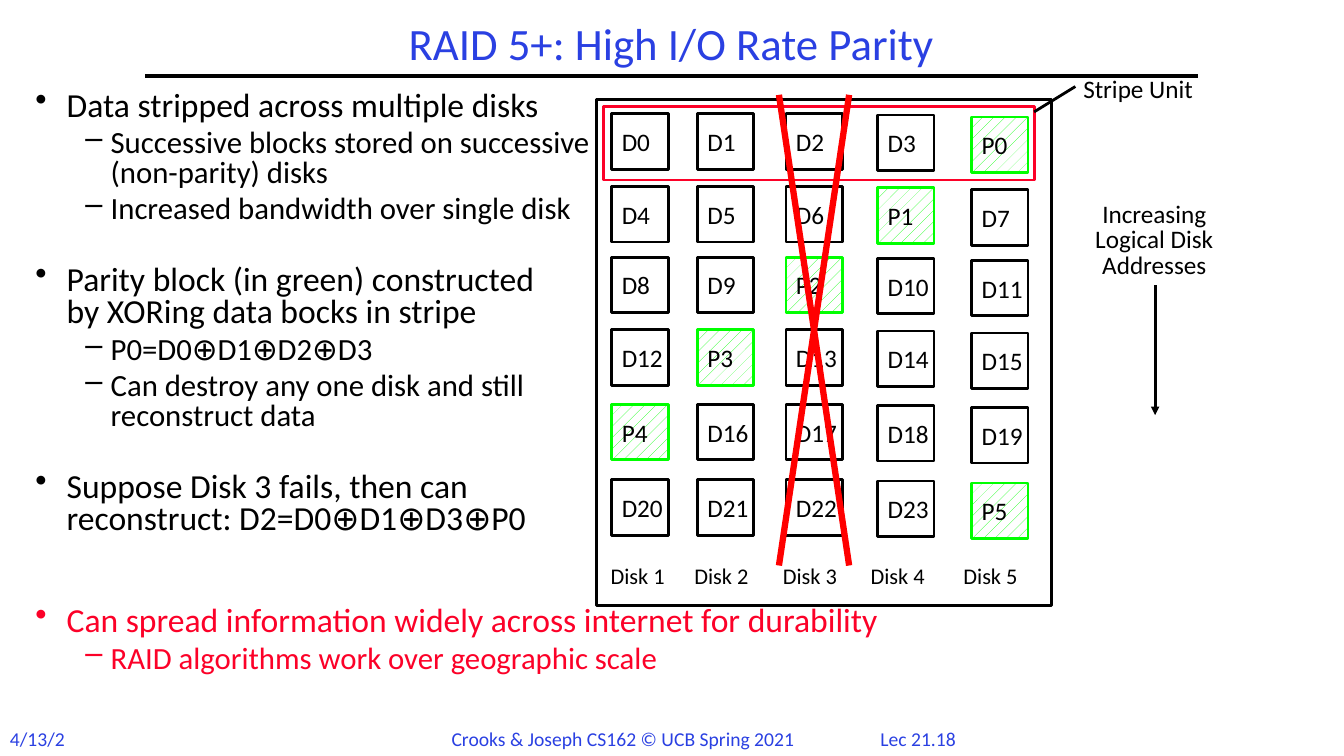
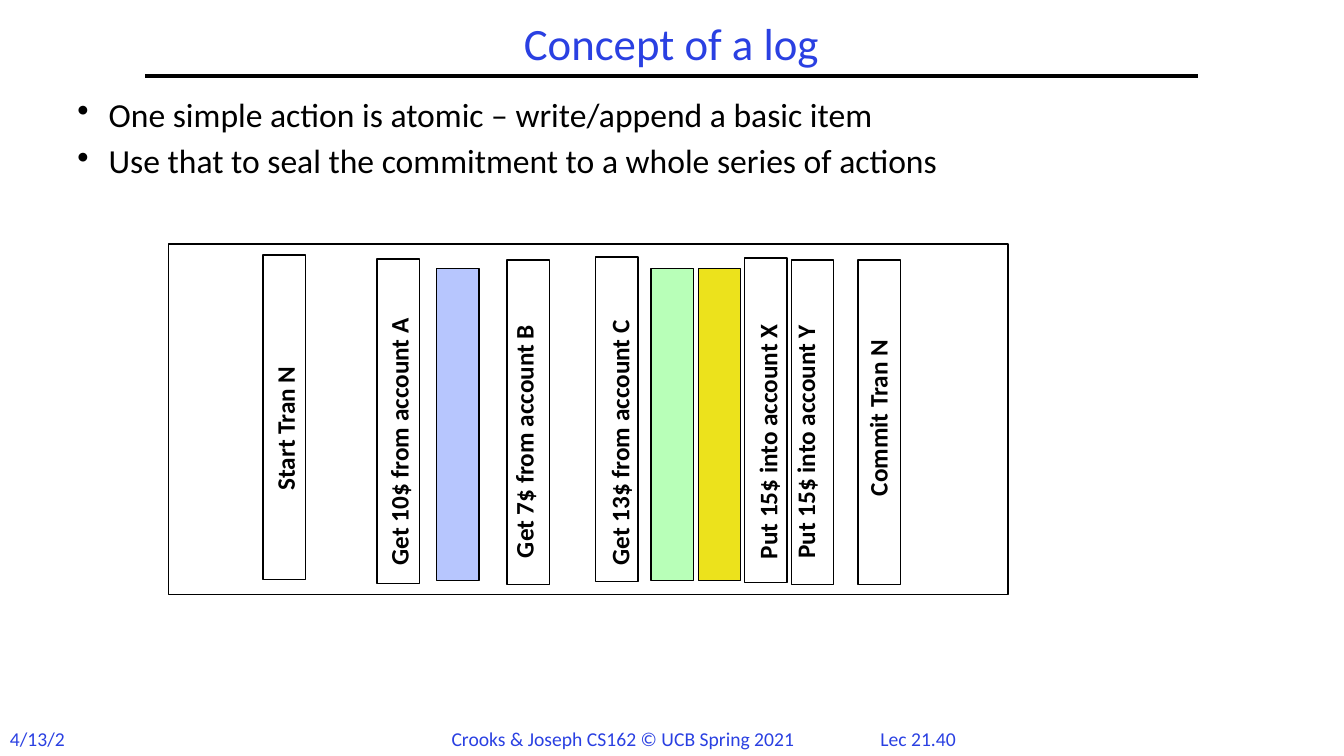
from dataclasses import dataclass
from itertools import count

from lxml.etree import SubElement
from pptx import Presentation
from pptx.dml.color import RGBColor
from pptx.enum.dml import MSO_PATTERN
from pptx.enum.shapes import MSO_CONNECTOR, MSO_SHAPE
from pptx.enum.text import MSO_ANCHOR, PP_ALIGN
from pptx.oxml.ns import qn
from pptx.util import Cm, Pt


@dataclass(frozen=True)
class Theme:
    font: str = "Calibri"
    # Colours
    ink: str = "000000"
    paper: str = "FFFFFF"
    blue: str = "2A40E2"
    red: str = "FC0128"
    cross: str = "FF0000"
    green: str = "00FF00"
    sky: str = "B7C6FE"
    mint: str = "B8FFB8"
    gold: str = "ECE21C"
    # Type sizes
    title: int = 32
    body: int = 24
    sub: int = 22
    label: int = 18
    disk: int = 16
    foot: int = 14


def rgb(code):
    return RGBColor.from_string(code)


class Deck:
    def __init__(self, theme):
        self.theme = theme
        self.prs = Presentation()
        self.prs.slide_width, self.prs.slide_height = Cm(33.87), Cm(19.05)
        self.slide = None

    def page(self, title, number):
        """Start a slide with its title, rule and footer."""
        t = self.theme
        self.slide = self.prs.slides.add_slide(self.prs.slide_layouts[6])
        self.line(3.66, 1.91, 30.2, 1.91, 3)
        self.text([title], 3.66, 0.43, 26.52, 1.47, t.title, t.blue,
                  PP_ALIGN.CENTER, 0.9, MSO_ANCHOR.MIDDLE)
        for note, left, width, align in (
                ("4/13/21", 0, 2.03, PP_ALIGN.LEFT),
                ("Crooks & Joseph CS162 © UCB Spring 2021", 11.13, 9.55, PP_ALIGN.LEFT),
                (f"Lec {number}", 21.59, 3.1, PP_ALIGN.CENTER)):
            self.text([note], left, 18.19, width, 0.86, t.foot, t.blue,
                      align, wrap=False)

    def style(self, para, size, color, bold=False):
        font = para.font
        font.name, font.size, font.bold = self.theme.font, Pt(size), bold
        font.color.rgb = rgb(color)

    def text(self, lines, left, top, width, height, size, color=None,
             align=PP_ALIGN.LEFT, space=None, anchor=MSO_ANCHOR.TOP,
             wrap=True, bold=False):
        """Plain text box, one paragraph a line."""
        box = self.slide.shapes.add_textbox(Cm(left), Cm(top), Cm(width), Cm(height))
        frame = box.text_frame
        frame.word_wrap, frame.vertical_anchor = wrap, anchor
        for i, line in enumerate(lines):
            para = frame.add_paragraph() if i else frame.paragraphs[0]
            para.text, para.alignment, para.line_spacing = line, align, space
            self.style(para, size, color or self.theme.ink, bold)
        return box

    def tilt(self, label, middle, foot, length=7.7, height=1.02):
        """Bold label that reads upward from its foot."""
        box = self.text([label], middle - length / 2, foot - (length + height) / 2,
                        length, height, self.theme.label, bold=True)
        box.rotation = 270

    def list(self, items, left, top, width, height, space):
        """Bullets: items of (level, text, space before, colour)."""
        t = self.theme
        box = self.slide.shapes.add_textbox(Cm(left), Cm(top), Cm(width), Cm(height))
        frame = box.text_frame
        frame.word_wrap = True
        for i, (level, words, before, color) in enumerate(items):
            para = frame.add_paragraph() if i else frame.paragraphs[0]
            para.text, para.level, para.line_spacing = words, level, space
            if i:
                para.space_before = Pt(before)
            mark, indent, hang, size = (("•", 0.79, 0.79, t.body),
                                        ("–", 1.9, 0.64, t.sub))[level]
            props = para._p.get_or_add_pPr()
            props.set("marL", str(Cm(indent)))
            props.set("indent", str(-Cm(hang)))
            tint = SubElement(props, qn("a:buClr"))
            SubElement(tint, qn("a:srgbClr")).set("val", color)
            SubElement(props, qn("a:buChar")).set("char", mark)
            self.style(para, size, color)

    def rect(self, left, top, width, height, line=None, weight=2, fill=None):
        """Outlined box, empty unless a fill is given."""
        box = self.slide.shapes.add_shape(
            MSO_SHAPE.RECTANGLE, Cm(left), Cm(top), Cm(width), Cm(height))
        box.shadow.inherit = False
        box.line.color.rgb = rgb(line or self.theme.ink)
        box.line.width = Pt(weight)
        if fill:
            box.fill.solid()
            box.fill.fore_color.rgb = rgb(fill)
        else:
            box.fill.background()
        return box

    def block(self, label, left, top, parity):
        """Disk block; parity blocks are green and hatched."""
        t = self.theme
        box = self.rect(left, top, 1.42, 1.4, t.green if parity else t.ink)
        if parity:
            box.fill.patterned()
            box.fill.pattern = MSO_PATTERN.PERCENT_10
            box.fill.fore_color.rgb = rgb(t.green)
            box.fill.back_color.rgb = rgb(t.paper)
        frame = box.text_frame
        frame.word_wrap, frame.vertical_anchor = False, MSO_ANCHOR.MIDDLE
        para = frame.paragraphs[0]
        para.text, para.alignment = label, PP_ALIGN.LEFT
        self.style(para, t.label, t.ink)

    def line(self, x1, y1, x2, y2, weight=2, color=None, arrow=False):
        """Straight line, with an arrowhead at its end if asked."""
        link = self.slide.shapes.add_connector(
            MSO_CONNECTOR.STRAIGHT, Cm(x1), Cm(y1), Cm(x2), Cm(y2))
        link.line.color.rgb = rgb(color or self.theme.ink)
        link.line.width = Pt(weight)
        if arrow:
            SubElement(link.line._get_or_add_ln(), qn("a:tailEnd")).set("type", "triangle")
        SubElement(link._element.spPr, qn("a:effectLst"))


def raid(deck):
    t = deck.theme
    deck.page("RAID 5+: High I/O Rate Parity", "21.18")
    deck.list([
        (0, "Data stripped across multiple disks", 0, t.ink),
        (1, "Successive blocks stored on successive\n(non-parity) disks", 4.6, t.ink),
        (1, "Increased bandwidth over single disk", 4.6, t.ink),
        (0, "Parity block (in green) constructed\nby XORing data bocks in stripe", 29, t.ink),
        (1, "P0=D0⊕D1⊕D2⊕D3", 4.6, t.ink),
        (1, "Can destroy any one disk and still\nreconstruct data", 4.6, t.ink),
        (0, "Suppose Disk 3 fails, then can\nreconstruct: D2=D0⊕D1⊕D3⊕P0", 29, t.ink),
        (0, "Can spread information widely across internet for durability", 49.5, t.red),
        (1, "RAID algorithms work over geographic scale", 5, t.red),
    ], 0.64, 2.18, 28.58, 16.87, 0.8)

    # Address order
    deck.text(["Increasing", "Logical Disk", "Addresses"], 26.04, 4.98, 6.1, 2.21,
              t.label, align=PP_ALIGN.CENTER, space=0.85)
    deck.line(29.11, 7.19, 29.11, 10.46, arrow=True)

    # Stripe unit
    deck.rect(15.21, 2.69, 10.87, 1.85, t.red)
    deck.line(26.06, 2.82, 27.1, 2.18)
    deck.text(["Stripe Unit"], 27.05, 1.85, 4.01, 0.91, t.label, space=0.85)

    # Disk array: parity moves one disk to the left on each row
    deck.rect(15.04, 2.51, 11.46, 12.75)
    disks = ((15.42, 0, 15.14), (17.58, 0, 17.25), (19.81, 0, 19.48),
             (22.12, 0.03, 21.69), (24.49, 0.08, 24.03))
    data = count()
    for row, top in enumerate((2.87, 4.7, 6.48, 8.31, 10.19, 12.09)):
        for col, (left, drop, _) in enumerate(disks):
            parity = col == 4 - row % 5
            label = f"P{row}" if parity else f"D{next(data)}"
            deck.block(label, left, top + drop, parity)
    for number, (_, _, left) in enumerate(disks, 1):
        deck.text([f"Disk {number}"], left, 14.05, 2.08, 0.94, t.disk)

    # Failed disk
    for start, end in ((2.39, 14.25), (14.25, 2.39)):
        deck.line(19.63, start, 21.4, end, 4.5, t.cross)


def log(deck):
    t = deck.theme
    deck.page("Concept of a log", "21.40")
    deck.rect(4.24, 6.15, 21.16, 8.84, weight=1, fill=t.paper)
    deck.list([
        (0, "One simple action is atomic – write/append a basic item", 0, t.ink),
        (0, "Use that to seal the commitment to a whole series of actions", 7.2, t.ink),
    ], 1.7, 2.36, 29.64, 3.81, 0.9)

    # Entries of other work
    for left, fill in ((11, t.sky), (16.41, t.mint), (17.6, t.gold)):
        deck.rect(left, 6.76, 1.07, 7.87, weight=1, fill=fill)

    # Entries of transaction N: bar left and top, label middle and foot
    for label, left, top, middle, foot in (
            ("Start Tran N", 6.63, 6.43, 7.18, 12.61),
            ("Get 10$ from account A", 9.5, 6.53, 10.05, 14.49),
            ("Get 7$ from account B", 12.78, 6.55, 13.2, 14.31),
            ("Get 13$ from account C", 15.01, 6.48, 15.61, 14.49),
            ("Put 15$ into account X", 18.77, 6.5, 19.34, 14.34),
            ("Put 15$ into account Y", 19.94, 6.55, 20.29, 14.33),
            ("Commit Tran N", 21.62, 6.55, 22.12, 12.75)):
        deck.rect(left, top, 1.07, 8.18, weight=1)
        deck.tilt(label, middle, foot)


def main():
    deck = Deck(Theme())
    raid(deck)
    log(deck)
    deck.prs.save("out.pptx")


if __name__ == "__main__":
    main()
